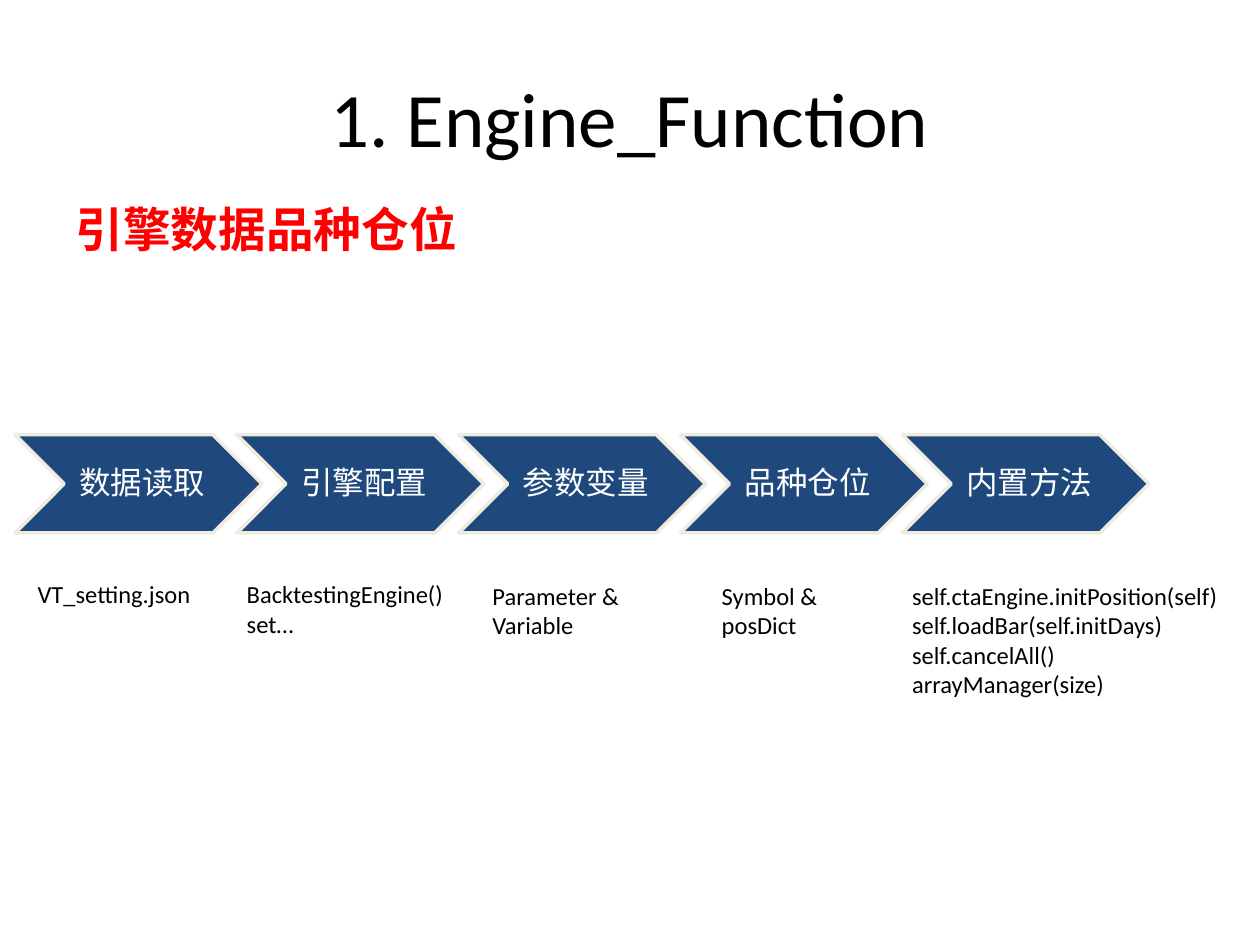
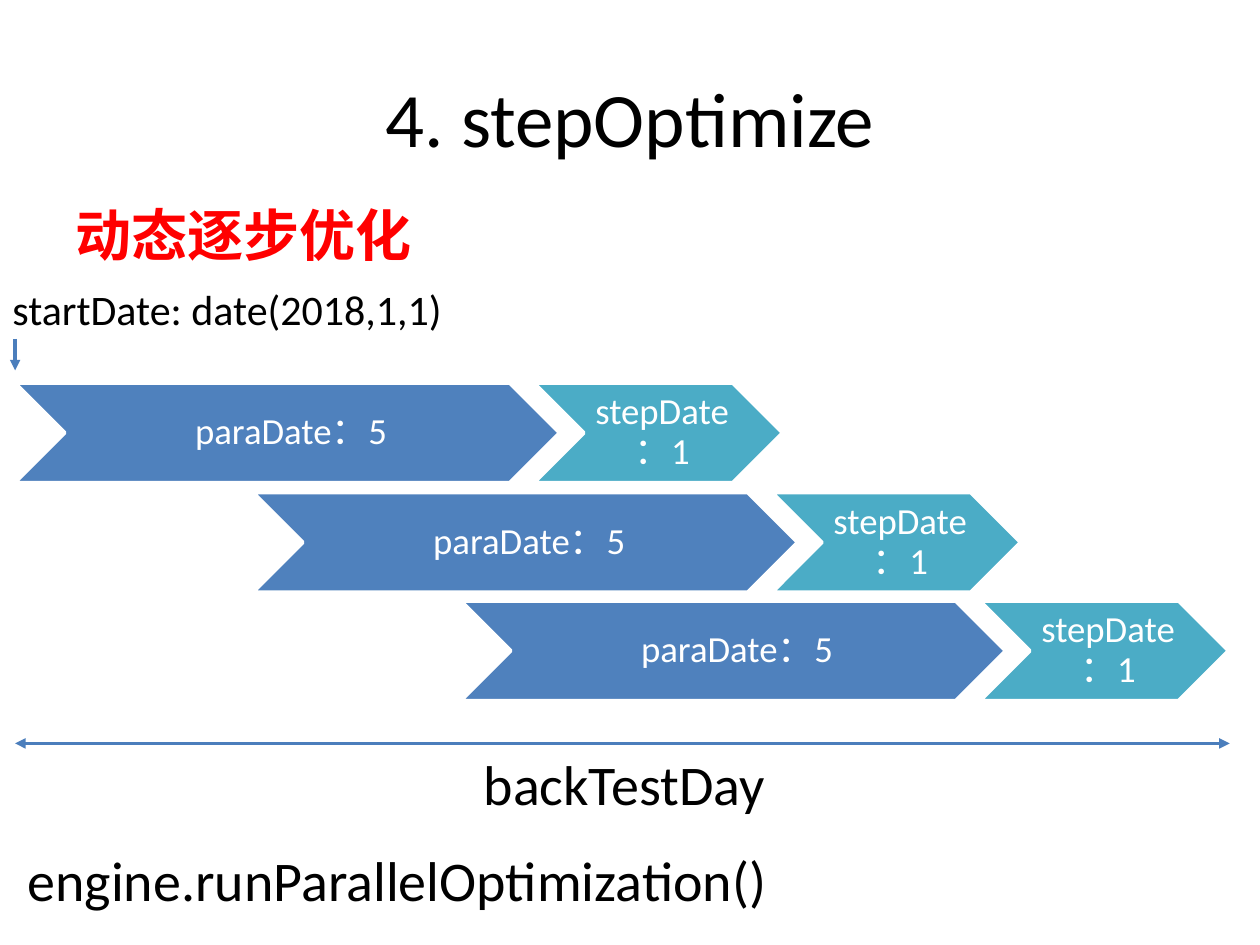
from pptx import Presentation
from pptx.dml.color import RGBColor
from pptx.enum.shapes import MSO_CONNECTOR, MSO_SHAPE
from pptx.enum.text import MSO_ANCHOR, MSO_AUTO_SIZE, PP_ALIGN
from pptx.oxml.ns import qn
from pptx.util import Inches, Pt
from lxml import etree

CHEVRON = MSO_SHAPE.CHEVRON
LINE = MSO_CONNECTOR.STRAIGHT
MIDDLE = MSO_ANCHOR.MIDDLE
CENTER = PP_ALIGN.CENTER
LEFT = PP_ALIGN.LEFT
FIT = MSO_AUTO_SIZE.SHAPE_TO_FIT_TEXT
FIXED = MSO_AUTO_SIZE.NONE

BLACK = RGBColor(0x00, 0x00, 0x00)
WHITE = RGBColor(0xFF, 0xFF, 0xFF)
RED = RGBColor(0xFF, 0x00, 0x00)
NAVY = RGBColor(0x1F, 0x49, 0x7D)
CREAM = RGBColor(0xEE, 0xEC, 0xE1)
BLUE = RGBColor(0x4F, 0x81, 0xBD)
TEAL = RGBColor(0x4B, 0xAC, 0xC6)
STEEL = RGBColor(0x4B, 0x7E, 0xBC)
FONT = "Calibri"
TITLE_ONLY = 5


class Deck:
    """Holds the shared style and the current slide."""

    def __init__(self):
        self.prs = Presentation()
        self.prs.slide_width = Inches(10)
        self.prs.slide_height = Inches(7.5)
        self.slide = None

    def add_text(self, para, text, size, color, bold=False):
        run = para.add_run()
        run.text = text
        font = run.font
        font.name, font.size, font.bold = FONT, Pt(size), bold
        font.color.rgb = color

    def start(self, title):
        """Add a slide with its centred title."""
        layout = self.prs.slide_layouts[TITLE_ONLY]
        self.slide = self.prs.slides.add_slide(layout)
        head = self.slide.shapes.title
        head.left, head.top = Inches(0.5), Inches(0.3)
        head.width, head.height = Inches(9), Inches(1.25)
        frame = head.text_frame
        frame.vertical_anchor = MIDDLE
        para = frame.paragraphs[0]
        para.alignment = CENTER
        self.add_text(para, title, 44, BLACK)

    def box(self, left, top, width, height):
        shape = self.slide.shapes.add_textbox(
            Inches(left), Inches(top), Inches(width), Inches(height))
        return shape.text_frame

    def topic(self, text, size, width, height):
        """Red heading below the title."""
        frame = self.box(0.5, 1.54, width, height)
        frame.word_wrap = True
        frame.auto_size = FIXED
        para = frame.paragraphs[0]
        para.space_before = Pt(size * 0.2)
        self.add_text(para, text, size, RED, True)

    def label(self, left, top, width, height, lines, size):
        """Plain black text, one paragraph a line."""
        frame = self.box(left, top, width, height)
        frame.word_wrap = False
        frame.auto_size = FIT
        for i, line in enumerate(lines):
            para = frame.add_paragraph() if i else frame.paragraphs[0]
            para.alignment = LEFT
            self.add_text(para, line, size, BLACK)

    def chevron(self, left, top, width, height, text, size, fill, edge):
        shape = self.slide.shapes.add_shape(
            CHEVRON, Inches(left), Inches(top), Inches(width), Inches(height))
        shape.shadow.inherit = False
        shape.fill.solid()
        shape.fill.fore_color.rgb = fill
        shape.line.color.rgb = edge
        shape.line.width = Pt(2)
        frame = shape.text_frame
        frame.word_wrap = True
        frame.vertical_anchor = MIDDLE
        frame.margin_left = Inches(0.09)
        frame.margin_right = Inches(0.03)
        frame.margin_top = frame.margin_bottom = Inches(0.03)
        para = frame.paragraphs[0]
        para.alignment = CENTER
        para.line_spacing = 0.9
        self.add_text(para, text, size, WHITE)

    def arrow(self, x1, y1, x2, y2, ends):
        """Straight line with a triangle at each named end."""
        link = self.slide.shapes.add_connector(
            LINE, Inches(x1), Inches(y1), Inches(x2), Inches(y2))
        link.line.color.rgb = STEEL
        link.line.width = Pt(2)
        props = link.element.spPr
        stroke = props.find(qn("a:ln"))
        for end in ends:
            etree.SubElement(stroke, qn("a:" + end), type="triangle")
        etree.SubElement(props, qn("a:effectLst"))


deck = Deck()

# Slide 1: engine steps in one row, notes below
deck.start("1. Engine_Function")
deck.topic("引擎数据品种仓位", 27.2, 3.32, 0.66)
steps = ["数据读取", "引擎配置", "参数变量", "品种仓位", "内置方法"]
for i, step in enumerate(steps):
    deck.chevron(0.12 + 1.76 * i, 3.45, 1.96, 0.78, step, 18, NAVY, CREAM)

notes = [
    (0.2, 4.55, 1.44, 0.34, ["VT_setting.json"]),
    (1.86, 4.55, 1.78, 0.57, ["BacktestingEngine()", "set…"]),
    (3.81, 4.56, 1.21, 0.57, ["Parameter &", "Variable"]),
    (5.63, 4.56, 0.96, 0.57, ["Symbol &", "posDict"]),
    (7.14, 4.56, 2.66, 1.04, [
        "self.ctaEngine.initPosition(self)", "self.loadBar(self.initDays)",
        "self.cancelAll()", "arrayManager(size)"]),
]
for note in notes:
    deck.label(*note, 14)

# Slide 2: windows that move forward in time
deck.start("4. stepOptimize")
deck.topic("动态逐步优化", 32, 6.09, 0.87)
for left, top in [(0.12, 3.04), (2.01, 3.91), (3.66, 4.77)]:
    deck.chevron(left, top, 4.32, 0.79, "paraDate：5", 21, BLUE, WHITE)
    deck.chevron(left + 4.12, top, 1.97, 0.79, "stepDate：1", 21, TEAL, WHITE)

# Time axis, start mark and captions
deck.label(0, 2.2, 3.64, 0.5, ["startDate: date(2018,1,1)"], 24)
deck.label(3.74, 5.9, 2.46, 0.64, ["backTestDay"], 32)
deck.arrow(0.12, 5.9, 9.76, 5.9, ["headEnd", "tailEnd"])
deck.arrow(0.12, 2.69, 0.12, 2.94, ["tailEnd"])
deck.label(0.12, 6.66, 6.14, 0.64, ["engine.runParallelOptimization()"], 32)

deck.prs.save("out.pptx")
